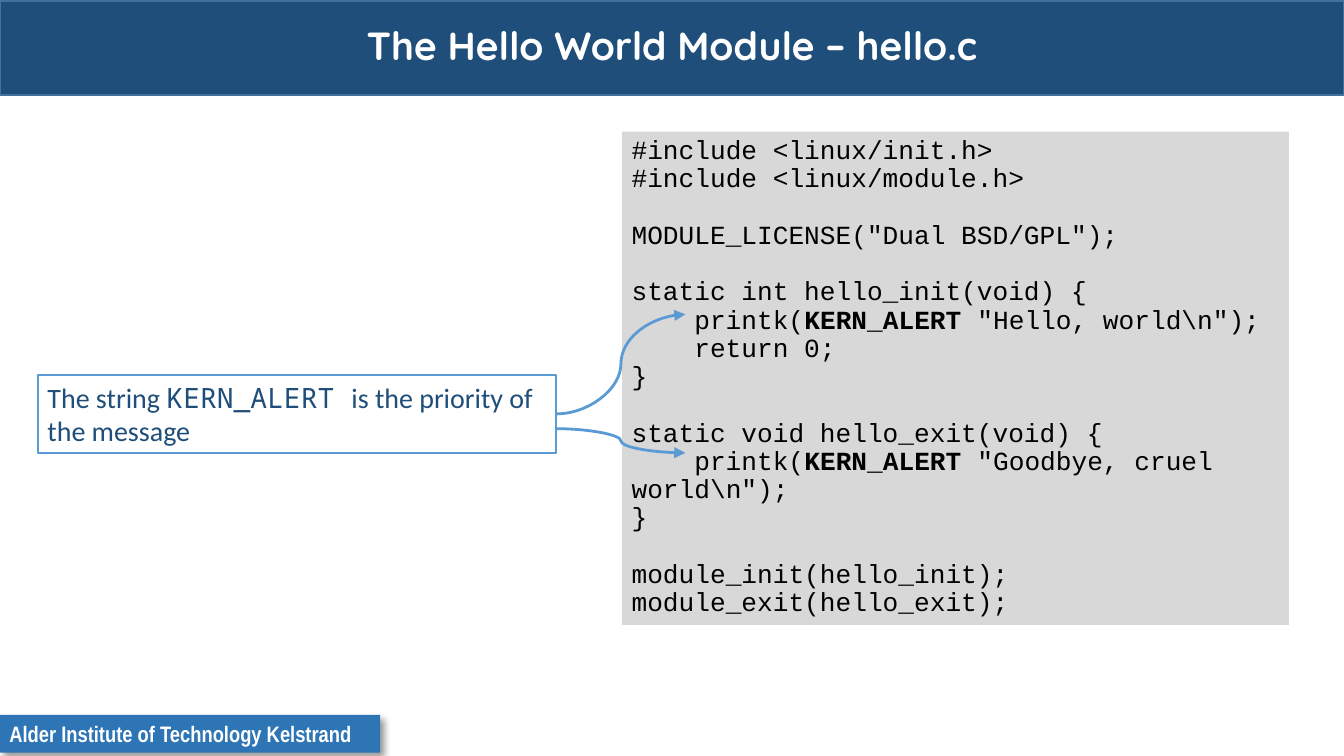
from lxml.etree import SubElement
from pptx import Presentation
from pptx.dml.color import RGBColor
from pptx.enum.shapes import MSO_CONNECTOR, MSO_SHAPE
from pptx.enum.text import MSO_ANCHOR, PP_ALIGN
from pptx.oxml import parse_xml
from pptx.oxml.ns import nsdecls, qn
from pptx.util import Inches, Pt

COLORS = {
    "navy": "1E4E79", "edge": "42719B", "badge": "2E75B5", "code": "D8D8D8",
    "accent": "5B9BD5", "white": "FFFFFF", "black": "000000",
}

prs = Presentation()
prs.slide_width, prs.slide_height = Inches(10), Inches(5.625)
col, row = prs.slide_width / 100, prs.slide_height / 100
s = prs.slides.add_slide(prs.slide_layouts[6])


def add_box(x, y, w, h, fill=None, line=None, width=1):
    sp = s.shapes.add_shape(MSO_SHAPE.RECTANGLE, int(x * col), int(y * row),
                            int(w * col), int(h * row))
    sp.shadow.inherit = False
    if fill:
        sp.fill.solid()
        sp.fill.fore_color.rgb = RGBColor.from_string(COLORS[fill])
    else:
        sp.fill.background()
    if line:
        sp.line.color.rgb = RGBColor.from_string(COLORS[line])
        sp.line.width = Pt(width)
    else:
        sp.line.fill.background()
    tf = sp.text_frame
    tf.word_wrap = True
    tf.vertical_anchor = MSO_ANCHOR.TOP
    tf.margin_left = tf.margin_right = Inches(0.07)
    tf.margin_top = tf.margin_bottom = Inches(0.04)
    return sp


def style(p, font, size, color, bold=False, align=PP_ALIGN.LEFT):
    p.font.name, p.font.size, p.font.bold = font, Pt(size), bold
    p.font.color.rgb = RGBColor.from_string(COLORS[color])
    p.alignment = align


add_box(0, 0.1, 100, 12.44, "navy", "edge")

badge = add_box(0, 94.58, 28.3, 4.98, "badge")
badge.text_frame.word_wrap = False
p = badge.text_frame.paragraphs[0]
p.text = "Alder Institute of Technology Kelstrand"
style(p, "Arial Narrow", 12, "white", bold=True)
effects = badge._element.spPr.find(qn("a:effectLst"))
effects.append(parse_xml(
    f'<a:outerShdw {nsdecls("a")} blurRad="{Pt(4)}" dist="{Pt(3)}" dir="2700000" '
    f'algn="tl" rotWithShape="0"><a:srgbClr val="{COLORS["black"]}">'
    '<a:alpha val="40000"/></a:srgbClr></a:outerShdw>'))

BLOCKS = [
    [(0, ["#include <linux/init.h>"]), (0, ["#include <linux/module.h>"])],
    [(0, ['MODULE_LICENSE("Dual BSD/GPL");'])],
    [(0, ["static int hello_init(void) {"]),
     (1, ["printk(", "KERN_ALERT ", '"Hello, world\\n");']),
     (1, ["return 0;"]), (0, ["}"])],
    [(0, ["static void hello_exit(void) {"]),
     (1, ["printk(", "KERN_ALERT ", '"Goodbye, cruel world\\n");']),
     (0, ["}"])],
    [(0, ["module_init(hello_init);"]), (0, ["module_exit(hello_exit);"])],
]
tf = add_box(46.3, 17.42, 49.6, 65.24, "code").text_frame
p = tf.paragraphs[0]
for b, block in enumerate(BLOCKS):
    for i, (level, parts) in enumerate(block):
        if b or i:
            p = tf.add_paragraph()
        style(p, "Courier New", 14, "black")
        p.line_spacing = 0.9
        if b and i == 0:
            p.space_before = Pt(15.1)
        if level:
            p._p.get_or_add_pPr().set("indent", str(Pt(33.6)))
        for part in parts:
            r = p.add_run()
            r.text = part
            if part.startswith("KERN"):
                r.font.bold = True

tf = add_box(0, 0.1, 100, 12.44).text_frame
tf.vertical_anchor = MSO_ANCHOR.MIDDLE
p = tf.paragraphs[0]
p.text = "The Hello World Module – hello.c"
p.line_spacing = 0.9
style(p, "Quicksand", 21, "white", bold=True, align=PP_ALIGN.CENTER)

p = add_box(2.83, 49.6, 38.54, 10.31, line="accent", width=0.75).text_frame.paragraphs[0]
style(p, "Calibri", 15, "navy")
for text, font in [("The string ", "Calibri"), ("KERN_ALERT ", "Noto Sans Mono"),
                   ("is the priority of the message", "Calibri")]:
    r = p.add_run()
    r.text, r.font.name = text, font

for start, end in [(54.76, 41.6), (56.71, 59.91)]:
    arrow = s.shapes.add_connector(MSO_CONNECTOR.CURVE, int(41.4 * col), int(start * row),
                                   int(51 * col), int(end * row))
    arrow.line.color.rgb = RGBColor.from_string(COLORS["accent"])
    arrow.line.width = Pt(1.5)
    SubElement(arrow.line._get_or_add_ln(), qn("a:tailEnd"), type="triangle")
    SubElement(arrow._element.spPr, qn("a:effectLst"))

prs.save("out.pptx")
